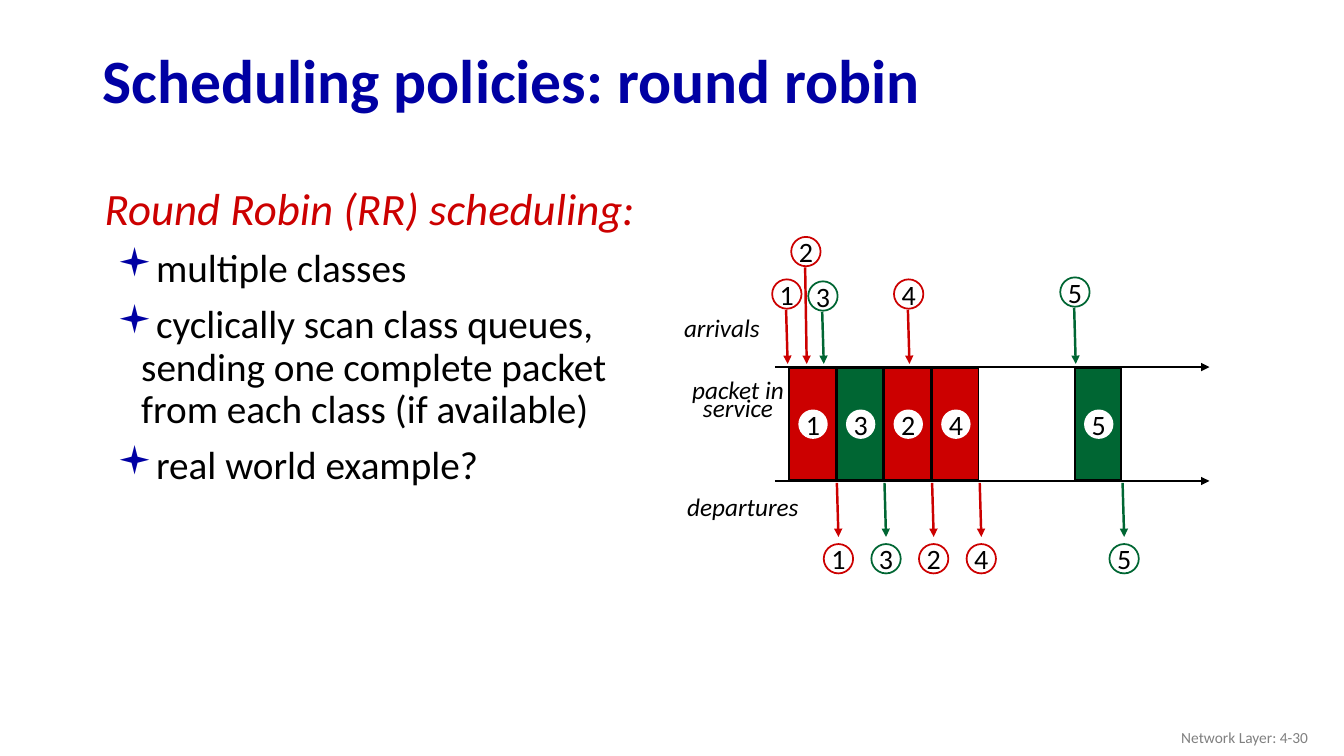
from lxml import etree
from pptx import Presentation
from pptx.dml.color import RGBColor
from pptx.enum.shapes import MSO_CONNECTOR as Connector, MSO_SHAPE as Shape
from pptx.enum.text import MSO_ANCHOR as Anchor, PP_ALIGN as Align
from pptx.oxml.ns import qn
from pptx.util import Cm, Pt

FONT = "Calibri"
NAVY, RED, GREEN = "0000A3", "CC0000", "006633"
BLACK, WHITE, GRAY = "000000", "FFFFFF", "808080"
MARKER = 0.74  # diameter of a packet marker

# packet: (class colour, service slot, arrival x, arrival marker height above axis)
PACKETS = {
    "1": (RED, 0, 0.28, 2.21),
    "3": (GREEN, 1, 1.19, 2.16),
    "2": (RED, 2, 0.76, 3.28),
    "4": (RED, 3, 3.35, 2.21),
    "5": (GREEN, 6, 7.54, 2.26),
}


def color(hex_string):
    return RGBColor.from_string(hex_string)


def style(paragraph, size, hex_color, bold=False, italic=False):
    font = paragraph.font
    font.name, font.size = FONT, Pt(size)
    font.bold, font.italic = bold, italic
    font.color.rgb = color(hex_color)


def add_text(slide, box, text, size, hex_color, anchor=Anchor.TOP,
             align=Align.LEFT, spacing=None, wrap=True, **emphasis):
    frame = slide.shapes.add_textbox(*map(Cm, box)).text_frame
    frame.word_wrap, frame.vertical_anchor = wrap, anchor
    paragraph = frame.paragraphs[0]
    paragraph.text, paragraph.alignment = text, align
    paragraph.line_spacing = spacing
    style(paragraph, size, hex_color, **emphasis)


def add_block(slide, kind, box, fill, line=None):
    block = slide.shapes.add_shape(kind, *map(Cm, box))
    block.shadow.inherit = False
    block.fill.solid()
    block.fill.fore_color.rgb = color(fill)
    if line:
        block.line.color.rgb = color(line)
        block.line.width = Pt(1.25)
    else:
        block.line.fill.background()
    return block


def add_arrow(slide, start, end, hex_color, width=1.75):
    arrow = slide.shapes.add_connector(Connector.STRAIGHT, *map(Cm, start + end))
    arrow.line.color.rgb = color(hex_color)
    arrow.line.width = Pt(width)
    etree.SubElement(arrow.line._get_or_add_ln(), qn("a:tailEnd"), type="triangle")
    etree.SubElement(arrow._element.spPr, qn("a:effectLst"))


def add_marker(slide, center_x, top, number, line=None):
    box = (center_x - MARKER / 2, top, MARKER, MARKER)
    frame = add_block(slide, Shape.OVAL, box, WHITE, line).text_frame
    frame.margin_left = frame.margin_right = 0
    frame.margin_top = frame.margin_bottom = 0
    frame.word_wrap, frame.vertical_anchor = False, Anchor.MIDDLE
    paragraph = frame.paragraphs[0]
    paragraph.text, paragraph.alignment = number, Align.CENTER
    style(paragraph, 20, BLACK)


def add_explanation(slide, box, heading, points):
    frame = slide.shapes.add_textbox(*map(Cm, box)).text_frame
    frame.word_wrap = True
    for index, text in enumerate([heading] + points):
        paragraph = frame.add_paragraph() if index else frame.paragraphs[0]
        paragraph.text = text
        paragraph.line_spacing, paragraph.space_before = 0.9, Pt(10)
        properties = paragraph._p.get_or_add_pPr()
        properties.set("marL", str(Cm(1.3 if index else 0.99)))
        properties.set("indent", str(Cm(-0.61)))
        if index:
            bullet_color = etree.SubElement(properties, qn("a:buClr"))
            etree.SubElement(bullet_color, qn("a:srgbClr"), val=NAVY)
            etree.SubElement(properties, qn("a:buFont"), typeface="Wingdings")
            etree.SubElement(properties, qn("a:buChar"), char="▪")
            style(paragraph, 28, BLACK)
        else:
            style(paragraph, 32, RED, italic=True)


def add_timeline(slide, box):
    left, top, width, height = box
    bottom = top + height
    pitch = 1.2

    # Time axes
    for y in (top, bottom):
        add_arrow(slide, (left, y), (left + width, y), BLACK, 2)

    for number, (packet_class, slot, arrival, rise) in PACKETS.items():
        # Packet in service
        slot_left = left + 0.36 + slot * pitch
        add_block(slide, Shape.RECTANGLE, (slot_left, top + 0.02, 1.17, height - 0.05),
                  packet_class, BLACK)
        add_marker(slide, slot_left + pitch / 2, top + 1.07, number)

        # Arrival
        x = left + arrival
        add_arrow(slide, (x, top - rise + MARKER + 0.03), (x + 0.04, top - 0.08),
                  packet_class)
        add_marker(slide, x + 0.02, top - rise, number, packet_class)

        # Departure at the end of service
        x = slot_left + pitch
        add_arrow(slide, (x, bottom + 0.05), (x + 0.04, bottom + 1.41), packet_class)
        add_marker(slide, x + 0.04, bottom + 1.59, number, packet_class)

    # Row labels
    add_text(slide, (left - 2.54, top - 1.5, 2.44, 1.02), "arrivals", 18, BLACK,
             wrap=False, italic=True)
    add_text(slide, (left - 2.39, top + 0.38, 2.92, 1.24), "packet in service", 18, BLACK,
             align=Align.CENTER, spacing=Pt(12.8), italic=True)
    add_text(slide, (left - 2.46, bottom + 0.13, 3.35, 1.02), "departures", 18, BLACK,
             wrap=False, italic=True)


def main():
    deck = Presentation()
    deck.slide_width, deck.slide_height = Cm(33.87), Cm(19.05)
    slide = deck.slides.add_slide(deck.slide_layouts[6])

    # Title
    add_text(slide, (2.34, 0.86, 29.21, 2.49), "Scheduling policies: round robin",
             44, NAVY, anchor=Anchor.MIDDLE, spacing=0.9, bold=True)
    add_explanation(slide, (2.01, 4.57, 15.44, 13.46), "Round Robin (RR) scheduling:", [
        "multiple classes",
        "cyclically scan class queues, sending one complete packet "
        "from each class (if available)",
        "real world example?",
    ])
    add_timeline(slide, (19.53, 9.25, 10.95, 2.87))
    # Footer
    add_text(slide, (25.6, 18.06, 7.62, 1.02), "Network Layer: 4-30", 11, GRAY,
             anchor=Anchor.MIDDLE, align=Align.RIGHT)
    deck.save("out.pptx")


if __name__ == "__main__":
    main()
